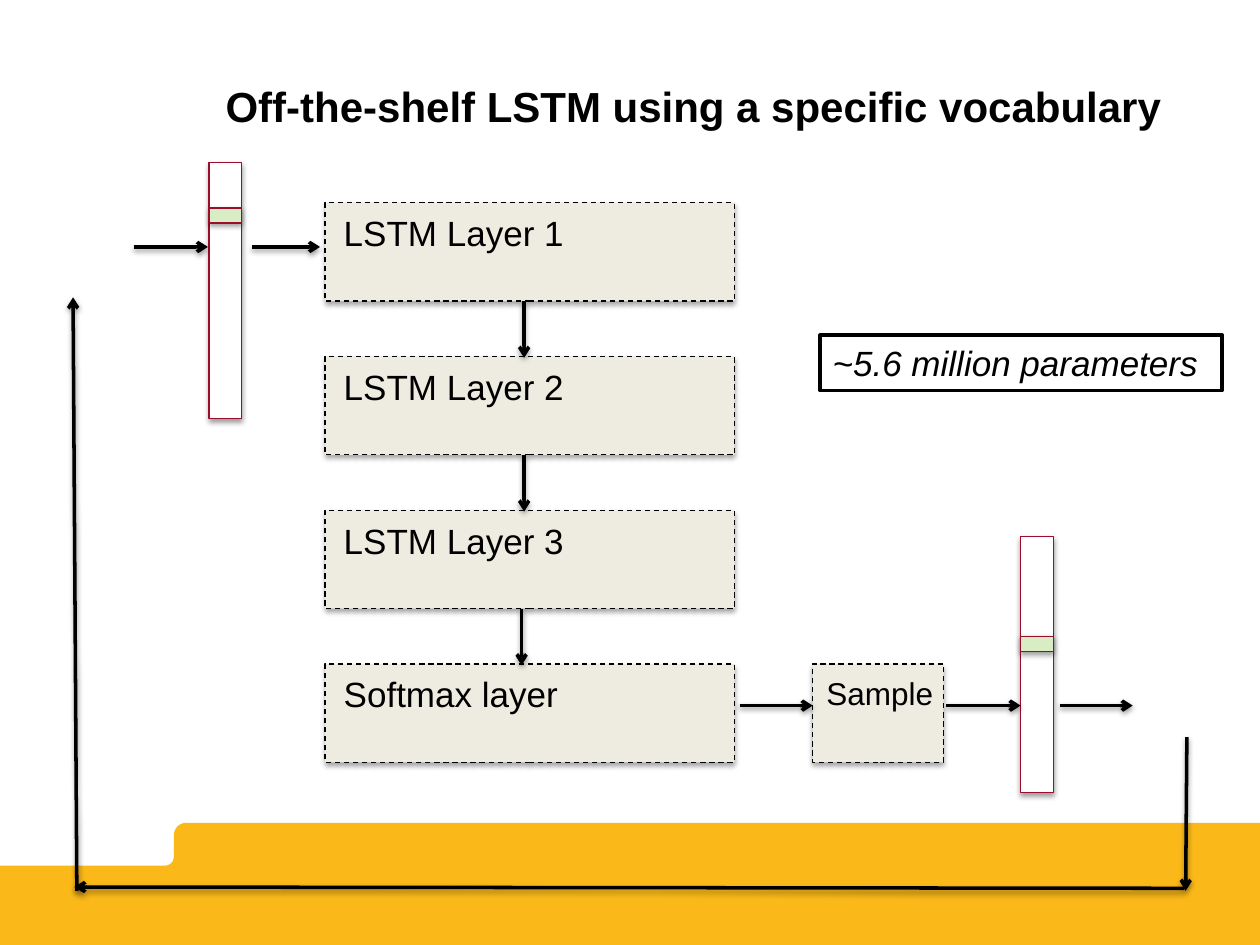
import math

from lxml import etree
from pptx import Presentation
from pptx import util as u
from pptx.dml.color import RGBColor
from pptx.enum import dml, shapes, text
from pptx.oxml import ns

PX = 9144  # EMU per px, 100 px to the inch
INK, PAPER, RED, GREEN, SAND, GOLD = (
    "000000", "FFFFFF", "9D0C2A", "D9EDC5", "EEECE1", "FAB919")


def color(value):
    return RGBColor.from_string(value)


def lengths(*values):
    return [u.Emu(value * PX) for value in values]


def add_shadow(shape, opacity=38, distance=1.6):
    """Soft shadow falling straight down."""
    properties = shape._element.spPr
    for old in properties.findall(ns.qn("a:effectLst")):
        properties.remove(old)
    effects = etree.SubElement(properties, ns.qn("a:effectLst"))
    shadow = etree.SubElement(
        effects, ns.qn("a:outerShdw"), blurRad=str(u.Pt(3.1)),
        dist=str(u.Pt(distance)), dir="5400000", rotWithShape="0")
    tint = etree.SubElement(shadow, ns.qn("a:srgbClr"), val=INK)
    etree.SubElement(tint, ns.qn("a:alpha"), val=str(opacity * 1000))


def add_box(slide, box, fill, line, width=0.75):
    shape = slide.shapes.add_shape(shapes.MSO_SHAPE.RECTANGLE, *lengths(*box))
    shape.shadow.inherit = False
    if fill:
        shape.fill.solid()
        shape.fill.fore_color.rgb = color(fill)
    else:
        shape.fill.background()
    shape.line.color.rgb = color(line)
    shape.line.width = u.Pt(width)
    return shape


def add_arrow(slide, start, end):
    arrow = slide.shapes.add_connector(
        shapes.MSO_CONNECTOR.STRAIGHT, *lengths(*start, *end))
    arrow.line.color.rgb = color(INK)
    arrow.line.width = u.Pt(2)
    etree.SubElement(arrow.line._get_or_add_ln(), ns.qn("a:tailEnd"), type="arrow")
    add_shadow(arrow)


def set_text(shape, words, size, bold=False, italic=False):
    frame = shape.text_frame
    frame.text = words
    paragraph = frame.paragraphs[0]
    paragraph.alignment = text.PP_ALIGN.LEFT
    font = paragraph.runs[0].font
    font.name, font.size, font.bold, font.italic = "Arial", u.Pt(size), bold, italic
    font.color.rgb = color(INK)
    return frame


def add_label(slide, box, words, size):
    label = slide.shapes.add_textbox(*lengths(*box))
    set_text(label, words, size).word_wrap = False


def corner(x, y, radius, start, end):
    """Points of a quarter circle around (x, y), in degrees."""
    angles = [math.radians(start + (end - start) * step / 8) for step in range(9)]
    return [(x + radius * math.cos(a), y + radius * math.sin(a)) for a in angles]


def add_footer(slide, box):
    """Coloured band with a lower step at its left end."""
    left, top, width, height = box
    step_x, step_y = left + 138, top + 34
    points = [(left, step_y)]
    points += corner(step_x - 7, step_y - 7, 7, 90, 0)
    points += corner(step_x + 10, top + 10, 10, 180, 270)
    points += [(left + width, top), (left + width, top + height),
               (left, top + height)]
    builder = slide.shapes.build_freeform(
        round(points[0][0] * PX), round(points[0][1] * PX), scale=1.0)
    builder.add_line_segments(
        [(round(x * PX), round(y * PX)) for x, y in points[1:]], close=True)
    band = builder.convert_to_shape()
    band.shadow.inherit = False
    band.fill.solid()
    band.fill.fore_color.rgb = color(GOLD)
    band.line.fill.background()


def add_title(slide, box):
    title = slide.shapes.title
    title.left, title.top, title.width, title.height = lengths(*box)
    frame = set_text(
        title, "Off-the-shelf LSTM using a specific vocabulary", 24, bold=True)
    frame.margin_left = frame.margin_right = 0
    frame.margin_top = frame.margin_bottom = 0
    frame.vertical_anchor = text.MSO_ANCHOR.BOTTOM
    frame.word_wrap = True
    frame.paragraphs[0].line_spacing = u.Pt(30)


def add_note(slide, box):
    note = add_box(slide, box, None, INK, 2)
    frame = set_text(note, "~5.6 million parameters", 20, italic=True)
    frame.word_wrap = False
    frame.vertical_anchor = text.MSO_ANCHOR.TOP


def add_one_hot(slide, box, hot_offset):
    """Tall vector with one highlighted cell."""
    left, top, width, _ = box
    add_shadow(add_box(slide, box, PAPER, RED))
    add_shadow(add_box(slide, (left, top + hot_offset, width, 12), GREEN, RED))


def add_stage(slide, box):
    stage = add_box(slide, box, SAND, INK)
    stage.line.dash_style = dml.MSO_LINE.DASH
    add_shadow(stage, 35, 1.8)


def add_layers(slide, box, pitch):
    """Stack of layers, each feeding the next."""
    left, top, width, height = box
    names = ["LSTM Layer 1", "LSTM Layer 2", "LSTM Layer 3", "Softmax layer"]
    for index, name in enumerate(names):
        y = top + index * pitch
        add_stage(slide, (left, y, width, height))
        add_label(slide, (left + 5, y + 2, 196, 44), name, 20)
    for index, x in enumerate([158, 158, 156]):
        y = top + index * pitch
        add_arrow(slide, (left + x, y + height), (left + x, y + pitch + 1))


def add_sample(slide, box):
    left, top, _, _ = box
    add_stage(slide, box)
    add_label(slide, (left + 1, top + 3, 106, 40), "Sample", 18)


def main():
    presentation = Presentation()
    presentation.slide_width, presentation.slide_height = lengths(1000, 750)
    slide = presentation.slides.add_slide(presentation.slide_layouts[5])

    add_footer(slide, (0, 653, 1000, 99))
    add_title(slide, (179, 38, 759, 66))
    add_note(slide, (651, 266, 319, 44))

    # Network from input vector to sampled output
    add_one_hot(slide, (166, 129, 26, 203), 36)
    add_layers(slide, (258, 161, 325, 78), 122)
    add_sample(slide, (645, 527, 104, 78))
    add_one_hot(slide, (810, 426, 26, 203), 79)

    # Horizontal flow
    for y, start, end in [(196, 106, 165), (196, 200, 254), (560, 587, 645),
                          (560, 751, 810), (560, 841, 899)]:
        add_arrow(slide, (start, y), (end, y))

    # Feedback loop from output to input
    add_arrow(slide, (942, 585), (941, 707))
    add_arrow(slide, (940, 705), (59, 704))
    add_arrow(slide, (61, 707), (58, 236))

    presentation.save("out.pptx")


if __name__ == "__main__":
    main()
